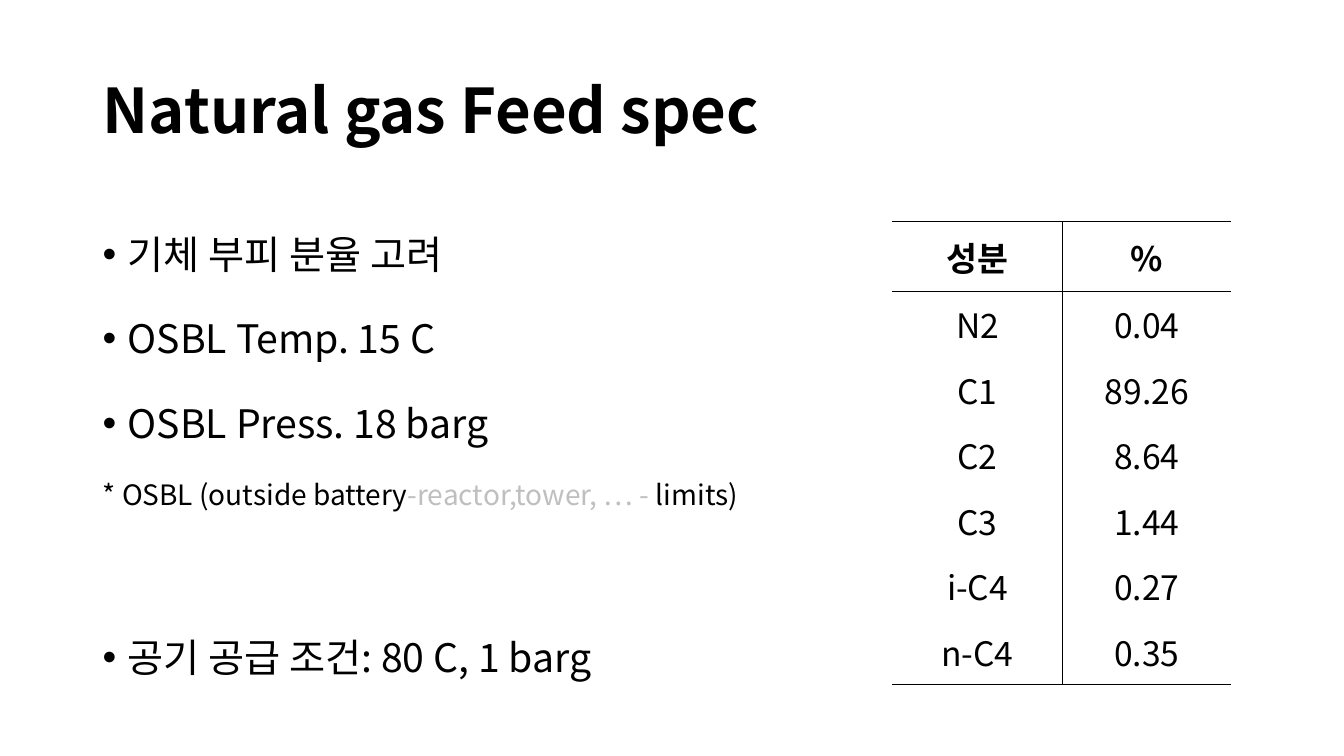
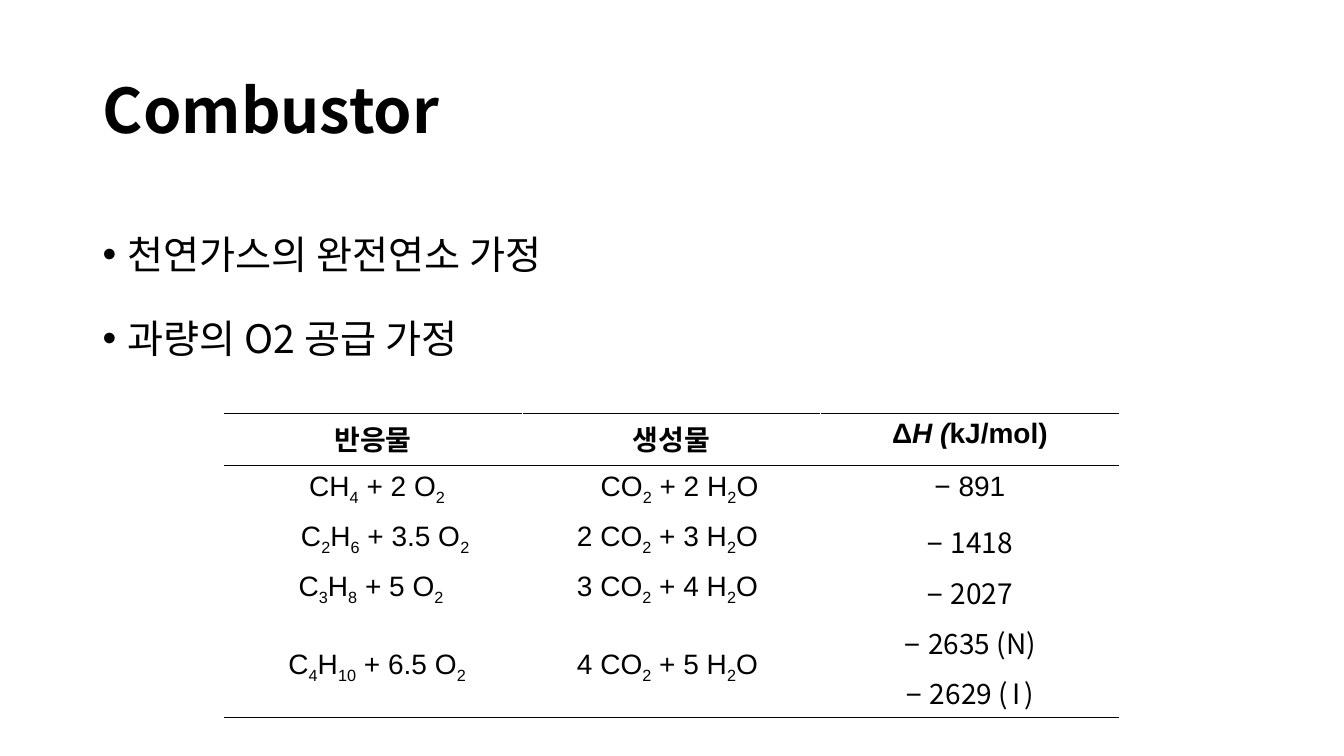
import pptx
import pptx.dml.color
import pptx.enum.text
import pptx.oxml
import pptx.oxml.ns
import pptx.util
from lxml import etree

Inches = pptx.util.Inches
Pt = pptx.util.Pt
qn = pptx.oxml.ns.qn
ANCHOR = pptx.enum.text.MSO_ANCHOR
CENTER = pptx.enum.text.PP_ALIGN.CENTER

BLACK = pptx.dml.color.RGBColor(0x00, 0x00, 0x00)
WHITE = pptx.dml.color.RGBColor(0xFF, 0xFF, 0xFF)
GREY = pptx.dml.color.RGBColor(0xBF, 0xBF, 0xBF)
NOTO = "Noto Sans CJK KR"
ARIAL = "Arial"
NO_TABLE_STYLE = "{2D5ABB26-0587-4C30-8999-92F81FD0307C}"

TITLE_BOX = (0.92, 0.4, 11.5, 1.45)
BODY_BOX = (0.92, 2, 11.5, 4.76)
BODY_GAP = 10
EMPTY_LINE = 60.8

FEED = [("성분", "%"), ("N2", "0.04"), ("C1", "89.26"), ("C2", "8.64"),
        ("C3", "1.44"), ("i-C4", "0.27"), ("n-C4", "0.35")]

# Each formula: text with subscripts between underscores, sideways nudge in inches.
REACTIONS = [
    (("CH_4_ + 2 O_2_", 0.04), ("CO_2_ + 2 H_2_O", 0.08)),
    (("C_2_H_6_ + 3.5 O_2_", 0.12), ("2 CO_2_ + 3 H_2_O", -0.04)),
    (("C_3_H_8_ + 5 O_2_", -0.02), ("3 CO_2_ + 4 H_2_O", -0.04)),
    (("C_4_H_10_ + 6.5 O_2_", 0.04), ("4 CO_2_ + 5 H_2_O", -0.04)),
]
MINUS = ("− ", {"name": ARIAL})
ENTHALPIES = [
    [MINUS, ("891", {"name": ARIAL})],
    [MINUS, ("1418", {})],
    [MINUS, ("2027", {})],
    [MINUS, ("2635 (N)", {})],
    [MINUS, ("2629 ", {}), ("(I", {"spc": 300}), (")", {})],
]


def set_all(target, values):
    for name, value in values.items():
        setattr(target, name, value)


def add_span(para, text, size, name=NOTO, color=BLACK, bold=False, italic=False, **extra):
    """Add a run; extra holds raw run attributes such as baseline or spc."""
    span = para.add_run()
    span.text = text
    span.font.color.rgb = color
    set_all(span.font, {"size": Pt(size), "name": name, "bold": bold, "italic": italic})
    properties = span.font._element
    etree.SubElement(properties, qn("a:ea"), typeface=name)
    for key, value in extra.items():
        properties.set(key, str(value))


def add_text_box(slide, box, anchor):
    frame = slide.shapes.add_textbox(*map(Inches, box)).text_frame
    set_all(frame, {"word_wrap": True, "vertical_anchor": anchor})
    return frame


def add_title(slide, text):
    para = add_text_box(slide, TITLE_BOX, ANCHOR.MIDDLE).paragraphs[0]
    para.line_spacing = 0.9
    add_span(para, text, 44, bold=True)


def add_body(slide, items):
    """Each item: (spans, size, bulleted, space before in points)."""
    frame = add_text_box(slide, BODY_BOX, ANCHOR.TOP)
    for index, (spans, size, bulleted, gap) in enumerate(items):
        para = frame.add_paragraph() if index else frame.paragraphs[0]
        set_all(para, {"line_spacing": 1.5, "space_before": Pt(gap)})
        if bulleted:
            properties = para._p.get_or_add_pPr()
            properties.set("marL", str(Inches(0.25)))
            properties.set("indent", str(-Inches(0.25)))
            etree.SubElement(properties, qn("a:buFont"), typeface=ARIAL)
            etree.SubElement(properties, qn("a:buChar"), char="•")
        for text, color in spans:
            add_span(para, text, size, color=color)


def bullet(text, gap=BODY_GAP):
    return [(text, BLACK)], 28, True, gap


def add_plain_table(slide, left, top, widths, heights):
    frame = slide.shapes.add_table(len(heights), len(widths), Inches(left), Inches(top),
                                   Inches(sum(widths)), Inches(sum(heights)))
    table = frame.table
    set_all(table, {"first_row": False, "horz_banding": False})
    table._tbl.tblPr.find(qn("a:tableStyleId")).text = NO_TABLE_STYLE
    for column, width in zip(table.columns, widths):
        column.width = Inches(width)
    for row, height in zip(table.rows, heights):
        row.height = Inches(height)
    for cell in table.iter_cells():
        cell.fill.background()
        cell.text_frame.paragraphs[0].alignment = CENTER
    return table


def set_borders(cell, edges):
    """Edges maps L, R, T, B to a colour; a side left out has no line."""
    properties = cell._tc.get_or_add_tcPr()
    for index, side in enumerate("LRTB"):
        line = etree.Element(qn("a:ln" + side), w=str(Pt(1)))
        if side in edges:
            fill = etree.SubElement(line, qn("a:solidFill"))
            etree.SubElement(fill, qn("a:srgbClr"), val=str(edges[side]))
        else:
            etree.SubElement(line, qn("a:noFill"))
        properties.insert(index, line)


def rule_table(table, inner_color, merged=()):
    """Rule the header and the bottom in black; merged lists (row, column) of merge origins."""
    last_row, last_column = len(table.rows) - 1, len(table.columns) - 1
    for row in range(last_row + 1):
        for column in range(last_column + 1):
            edges = {}
            if column > 0:
                edges["L"] = inner_color
            if column < last_column:
                edges["R"] = inner_color
            if row < 2:
                edges["T"] = BLACK
            if row in (0, last_row) or (row, column) in merged:
                edges["B"] = BLACK
            set_borders(table.cell(row, column), edges)


def add_feed_table(slide, left, top):
    table = add_plain_table(slide, left, top, [1.69, 1.67], [0.69] + [0.65] * 6)
    for row, values in enumerate(FEED):
        for column, text in enumerate(values):
            cell = table.cell(row, column)
            cell.vertical_anchor = ANCHOR.MIDDLE
            add_span(cell.text_frame.paragraphs[0], text, 24, bold=row == 0)
    rule_table(table, BLACK)


def write_formula(cell, formula, nudge):
    set_all(cell, {"margin_left": Inches(0.1 + max(2 * nudge, 0)),
                   "margin_right": Inches(0.1 + max(-2 * nudge, 0))})
    for index, part in enumerate(formula.split("_")):
        if part:
            extra = {"baseline": -25000} if index % 2 else {}
            add_span(cell.text_frame.paragraphs[0], part, 20, ARIAL, **extra)


def add_reaction_table(slide, left, top):
    table = add_plain_table(slide, left, top, [2.96] * 3, [0.52] + [0.5] * 5)
    rule_table(table, WHITE, merged=[(4, 0), (4, 1)])
    headers = [[("반응물", {})], [("생성물", {})],
               [("Δ", {"name": ARIAL}), ("H (", {"name": ARIAL, "italic": True}),
                ("kJ/mol)", {"name": ARIAL})]]
    for column, spans in enumerate(headers):
        for text, style in spans:
            add_span(table.cell(0, column).text_frame.paragraphs[0], text, 20,
                     bold=True, **style)
    for row, formulas in enumerate(REACTIONS, 1):
        for column, (formula, nudge) in enumerate(formulas):
            write_formula(table.cell(row, column), formula, nudge)
    for row, spans in enumerate(ENTHALPIES, 1):
        for text, style in spans:
            add_span(table.cell(row, 2).text_frame.paragraphs[0], text, 20, **style)
    for column in range(2):
        cell = table.cell(4, column)
        cell.merge(table.cell(5, column))
        cell.vertical_anchor = ANCHOR.MIDDLE


def build_feed_slide(slide):
    add_title(slide, "Natural gas Feed spec")
    note = [("* OSBL (outside battery", BLACK), ("-reactor,tower, … - ", GREY),
            ("limits)", BLACK)]
    add_body(slide, [
        bullet("기체 부피 분율 고려"),
        bullet("OSBL Temp. 15 C"),
        bullet("OSBL Press. 18 barg"),
        (note, 20, False, BODY_GAP),
        bullet("공기 공급 조건: 80 C, 1 barg", BODY_GAP + EMPTY_LINE),
    ])
    add_feed_table(slide, 8.85, 2.2)


def build_combustor_slide(slide):
    add_title(slide, "Combustor")
    add_body(slide, [bullet("천연가스의 완전연소 가정"), bullet("과량의 O2 공급 가정")])
    add_reaction_table(slide, 2.22, 4.1)


def main():
    deck = pptx.Presentation()
    set_all(deck, {"slide_width": Inches(13.33), "slide_height": Inches(7.5)})
    for build in (build_feed_slide, build_combustor_slide):
        build(deck.slides.add_slide(deck.slide_layouts[6]))
    deck.save("out.pptx")


if __name__ == "__main__":
    main()
